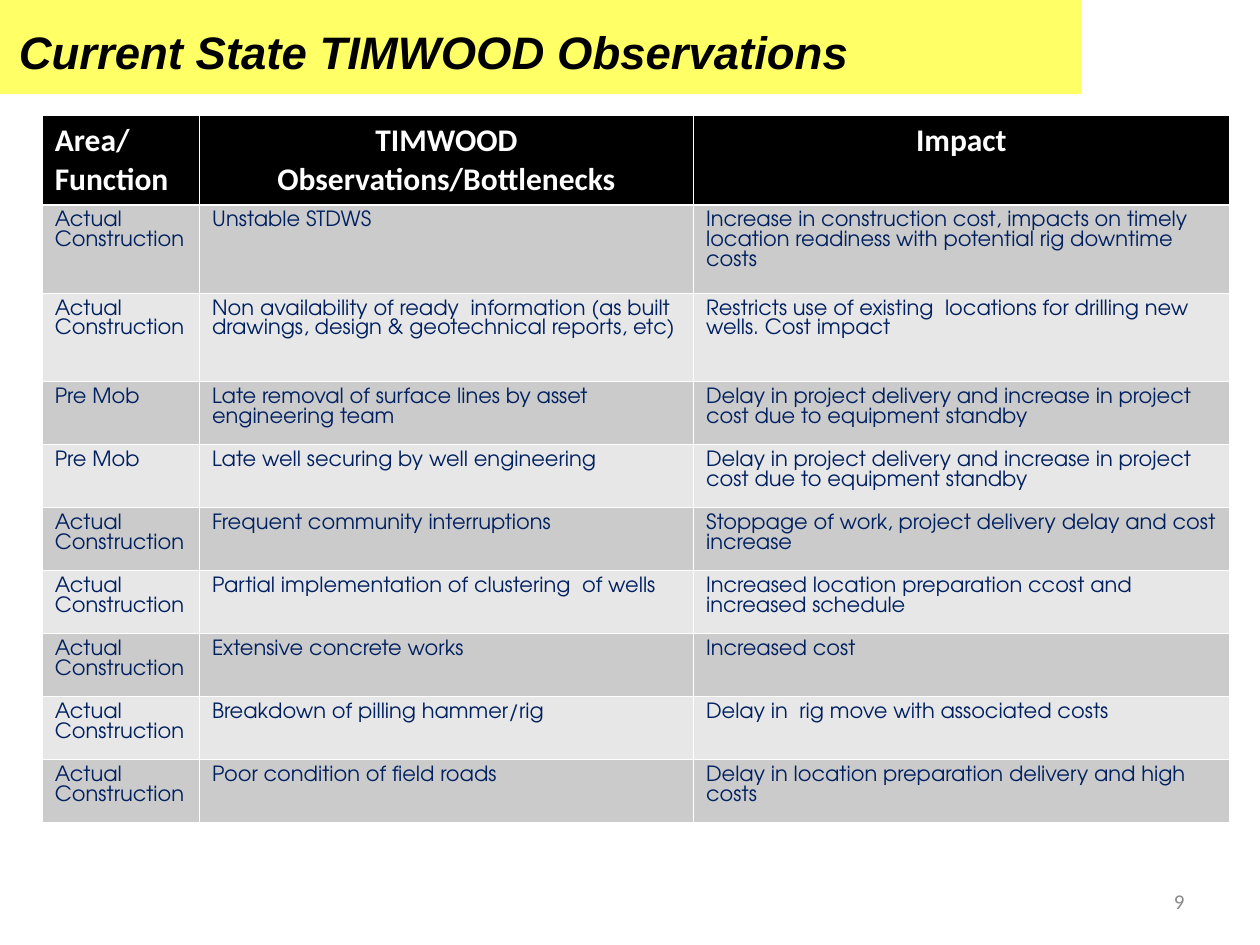
import pptx
import pptx.dml.color
import pptx.enum.shapes
import pptx.enum.text
import pptx.oxml
import pptx.oxml.ns
import pptx.util
from dataclasses import dataclass

Cm = pptx.util.Cm
Pt = pptx.util.Pt
ALIGN = pptx.enum.text.PP_ALIGN
ANCHOR = pptx.enum.text.MSO_ANCHOR


@dataclass(frozen=True)
class Theme:
    band: str = "FFFF66"
    black: str = "000000"
    white: str = "FFFFFF"
    body: str = "002060"
    number: str = "898989"
    rows: tuple = ("CBCBCB", "E7E7E7")
    title_size: int = 26
    head_size: int = 18
    small_size: int = 12
    thin: float = 0.45
    thick: float = 1.47


T = Theme()
TITLE = dict(name="Arial", size=Pt(T.title_size), bold=True, italic=True, color=T.black)
HEAD = dict(name="Calibri", size=Pt(T.head_size), bold=True, color=T.white)
BODY = dict(name="TeX Gyre Adventor", size=Pt(T.small_size), bold=False, color=T.body)
NUMBER = dict(name="Calibri", size=Pt(T.small_size), color=T.number)

SITE, PREP = "Actual Construction", "Pre Mob"
STANDBY = "Delay in project delivery and increase in project cost due to equipment standby"
HEADERS = ("Area/Function", "TIMWOOD Observations/Bottlenecks", "Impact")
OBSERVATIONS = [
    (SITE, "Unstable STDWS",
     "Increase in construction cost, impacts on timely  location readiness "
     "with potential rig downtime costs"),
    (SITE, "Non availability of ready  information (as built drawings, "
     "design & geotechnical reports, etc)",
     "Restricts use of existing  locations for drilling new wells. Cost impact"),
    (PREP, "Late removal of surface lines by asset engineering team", STANDBY),
    (PREP, "Late well securing by well engineering", STANDBY),
    (SITE, "Frequent community interruptions",
     "Stoppage of work, project delivery delay and cost increase"),
    (SITE, "Partial implementation of clustering  of wells",
     "Increased location preparation ccost and increased schedule"),
    (SITE, "Extensive concrete works", "Increased cost"),
    (SITE, "Breakdown of pilling hammer/rig", "Delay in  rig move with associated costs"),
    (SITE, "Poor condition of field roads",
     "Delay in location preparation delivery and high costs"),
]


def rgb(value):
    return pptx.dml.color.RGBColor.from_string(value)


def write(tf, text, style, align=ALIGN.LEFT):
    p = tf.paragraphs[0]
    p.alignment = align
    r = p.add_run()
    r.text = text
    for key, value in style.items():
        if key == "color":
            r.font.color.rgb = rgb(value)
        else:
            setattr(r.font, key, value)


def place(sp, box):
    for key, value in zip(("left", "top", "width", "height"), box):
        setattr(sp, key, Cm(value))


def add_title(s, box, text):
    left, top, width, height = box
    # Yellow band, sent behind the title
    band = s.shapes.add_shape(pptx.enum.shapes.MSO_SHAPE.RECTANGLE, *map(Cm, box))
    band.shadow.inherit = False
    band.fill.solid()
    band.fill.fore_color.rgb = rgb(T.band)
    band.line.fill.background()
    s.shapes._spTree.insert(2, band._element)

    # Title text, centred in the band's height
    title = s.shapes.title
    place(title, (left + 0.15, top + 0.36, width - 0.15, 1.35))
    tf = title.text_frame
    settings = dict(word_wrap=True, auto_size=pptx.enum.text.MSO_AUTO_SIZE.NONE,
                    vertical_anchor=ANCHOR.MIDDLE, margin_left=Cm(0.23), margin_right=Cm(0.23))
    for key, value in settings.items():
        setattr(tf, key, value)
    write(tf, text, TITLE)


def set_borders(cell, widths):
    tcPr = cell._tc.get_or_add_tcPr()
    for side, width in zip("LRTB", widths):
        tcPr.append(pptx.oxml.parse_xml(
            f'<a:ln{side} {pptx.oxml.ns.nsdecls("a")} w="{Pt(width)}"><a:solidFill>'
            f'<a:srgbClr val="{T.white}"/></a:solidFill></a:ln{side}>'))


def add_observations(s, box, col_widths, row_heights):
    rows = [HEADERS] + OBSERVATIONS
    table = s.shapes.add_table(len(rows), len(HEADERS), *map(Cm, box)).table
    table.horz_banding = False
    for col, width in zip(table.columns, col_widths):
        col.width = Cm(width)
    for i, (row, height, texts) in enumerate(zip(table.rows, row_heights, rows)):
        row.height = Cm(height)
        top = T.thick if i == 1 else T.thin
        bottom = T.thick if i == 0 else T.thin
        for j, (cell, text) in enumerate(zip(row.cells, texts)):
            set_borders(cell, (T.thin, T.thin, top, bottom))
            cell.fill.solid()
            cell.fill.fore_color.rgb = rgb(T.rows[(i - 1) % 2] if i else T.black)
            centred = i == 0 and j > 0
            write(cell.text_frame, text, BODY if i else HEAD,
                  ALIGN.CENTER if centred else ALIGN.LEFT)


def add_slide_number(s, box, text):
    tf = s.shapes.add_textbox(*map(Cm, box)).text_frame
    tf.word_wrap = True
    tf.vertical_anchor = ANCHOR.MIDDLE
    write(tf, text, NUMBER, ALIGN.RIGHT)


def main():
    prs = pptx.Presentation()
    prs.slide_width, prs.slide_height = Cm(25.4), Cm(19.05)
    s = prs.slides.add_slide(prs.slide_layouts.get_by_name("Title Only"))

    add_title(s, (0, 0, 21.8, 1.9), "Current State TIMWOOD Observations")
    col_widths = (3.17, 9.96, 10.8)
    row_heights = [1.78] * 3 + [1.27] * 7
    add_observations(s, (0.85, 2.33, sum(col_widths), sum(row_heights)),
                     col_widths, row_heights)
    add_slide_number(s, (18.2, 17.65, 5.93, 1.02), "9")
    prs.save("out.pptx")


if __name__ == "__main__":
    main()
